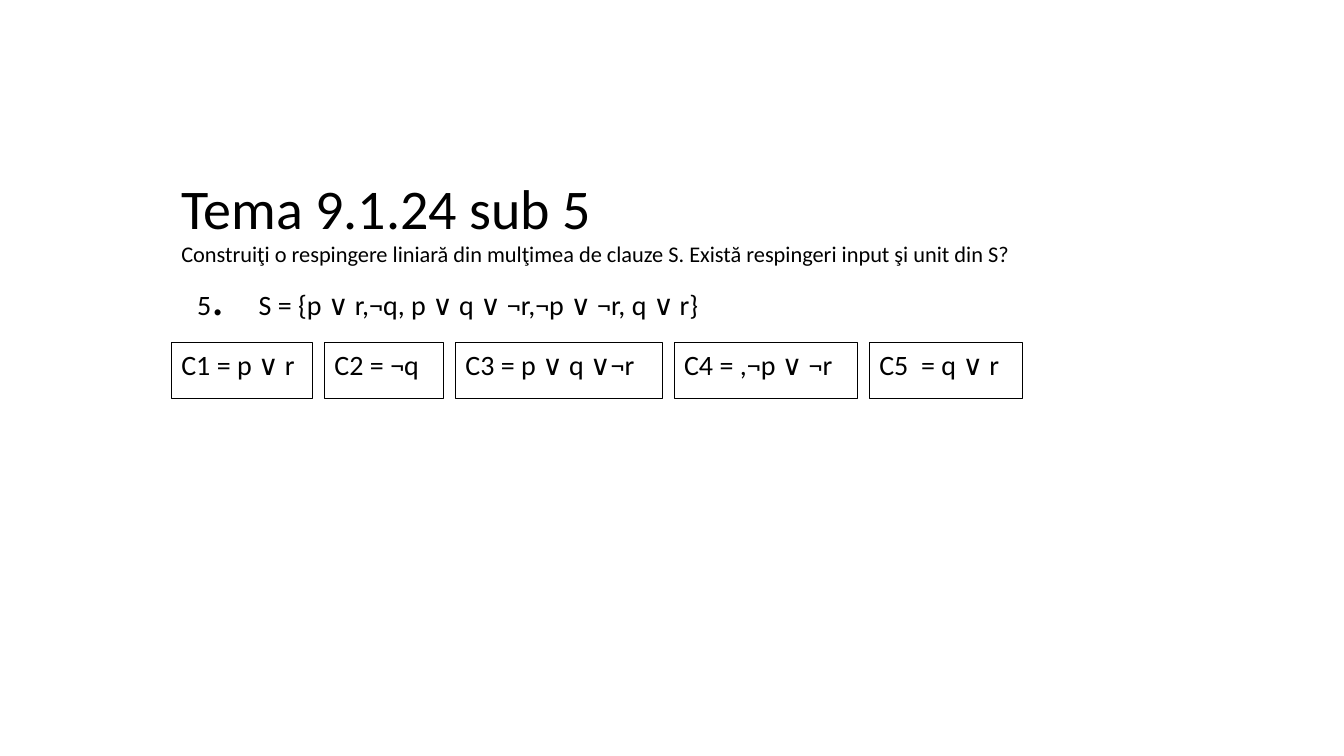
"""Build the slide that states the clause set S and its five clauses."""
from dataclasses import dataclass

from lxml import etree
from pptx import Presentation
from pptx.dml.color import RGBColor
from pptx.enum.shapes import MSO_SHAPE
from pptx.enum.text import MSO_ANCHOR, PP_ALIGN
from pptx.oxml.ns import qn
from pptx.util import Cm, Pt

RECT = MSO_SHAPE.RECTANGLE
TOP = MSO_ANCHOR.TOP
LEFT = PP_ALIGN.LEFT


@dataclass(frozen=True)
class Theme:
    font: str = "Calibri"
    ink: RGBColor = RGBColor(0, 0, 0)
    paper: RGBColor = RGBColor(255, 255, 255)
    title: int = 40
    dot: int = 36
    body: int = 20
    task: int = 16


theme = Theme()


def write(shape, lines, tab=None):
    """Fill a shape with lines, each a list of (text, size) runs."""
    frame = shape.text_frame
    frame.word_wrap = True
    frame.vertical_anchor = TOP
    for i, line in enumerate(lines):
        para = frame.add_paragraph() if i else frame.paragraphs[0]
        para.alignment = LEFT
        if tab:
            stops = etree.SubElement(para._p.get_or_add_pPr(), qn("a:tabLst"))
            etree.SubElement(stops, qn("a:tab"), pos=str(tab), algn="l")
        for text, size in line:
            run = para.add_run()
            run.text = text
            run.font.name = theme.font
            run.font.size = Pt(size)
            run.font.color.rgb = theme.ink


deck = Presentation()
deck.slide_width = Cm(33.87)
deck.slide_height = Cm(19.05)
slide = deck.slides.add_slide(deck.slide_layouts[6])
shapes = slide.shapes

clauses = [
    ("C1 = p ∨ r", 3.56),
    ("C2 = ¬q", 3),
    ("C3 = p ∨ q ∨¬r", 5.21),
    ("C4 = ,¬p ∨ ¬r", 4.62),
    ("C5  = q ∨ r", 3.86),
]
edge = 4.32
gap = 0.3
left = edge
for clause, width in clauses:
    box = shapes.add_shape(RECT, Cm(left), Cm(8.64), Cm(width), Cm(1.4))
    box.shadow.inherit = False
    box.fill.solid()
    box.fill.fore_color.rgb = theme.paper
    box.line.color.rgb = theme.ink
    box.line.width = Pt(0.5)
    write(box, [[(clause, theme.body)]])
    left += width + gap

head = shapes.add_textbox(Cm(edge), Cm(4.24), Cm(22), Cm(2.7))
write(head, [
    [("Tema 9.1.24 sub 5", theme.title)],
    [("Construiţi o respingere liniară din mulţimea de clauze S. "
      "Există respingeri input şi unit din S?", theme.task)],
])

goal = shapes.add_textbox(Cm(4.72), Cm(6.56), Cm(13.56), Cm(1.8))
write(goal, [[
    ("5", theme.body),
    (".\t", theme.dot),
    ("S = {p ∨ r,¬q, p ∨ q ∨ ¬r,¬p ∨ ¬r, q ∨ r}", theme.body),
]], tab=Cm(1.55))

deck.save("out.pptx")
